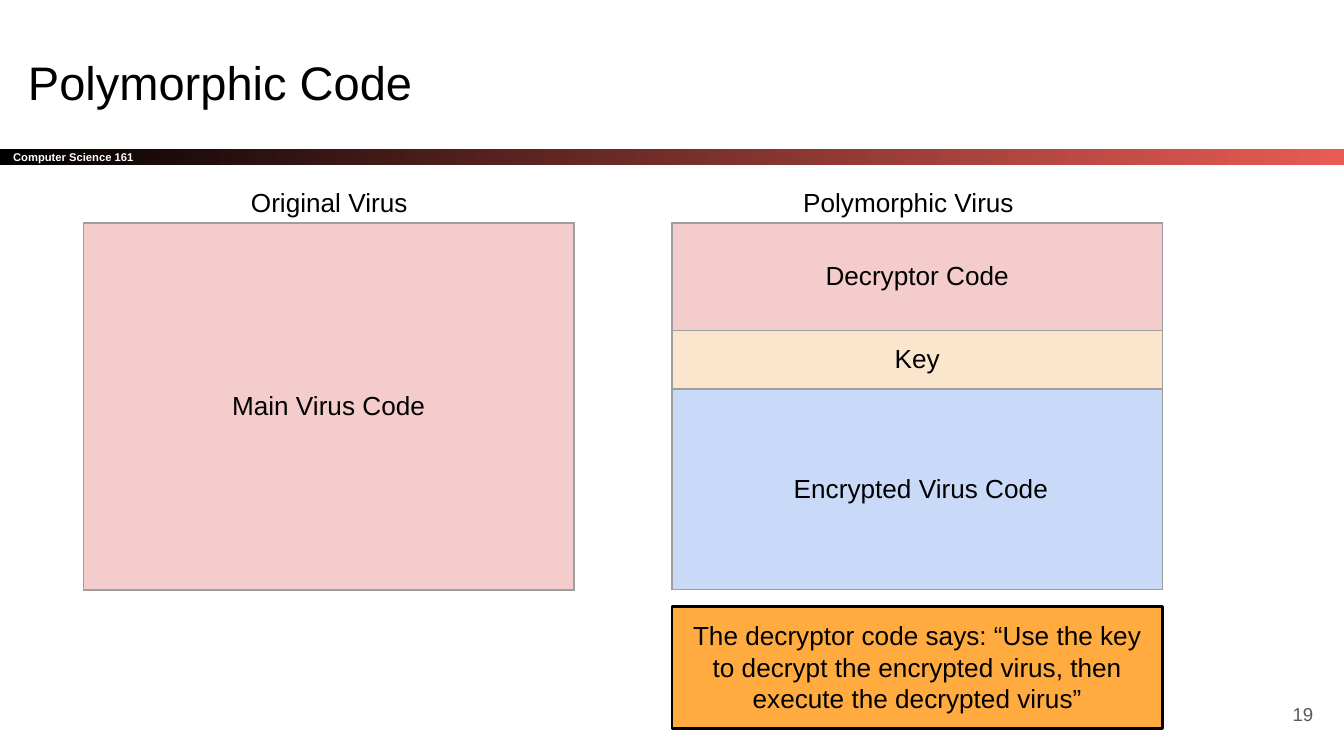
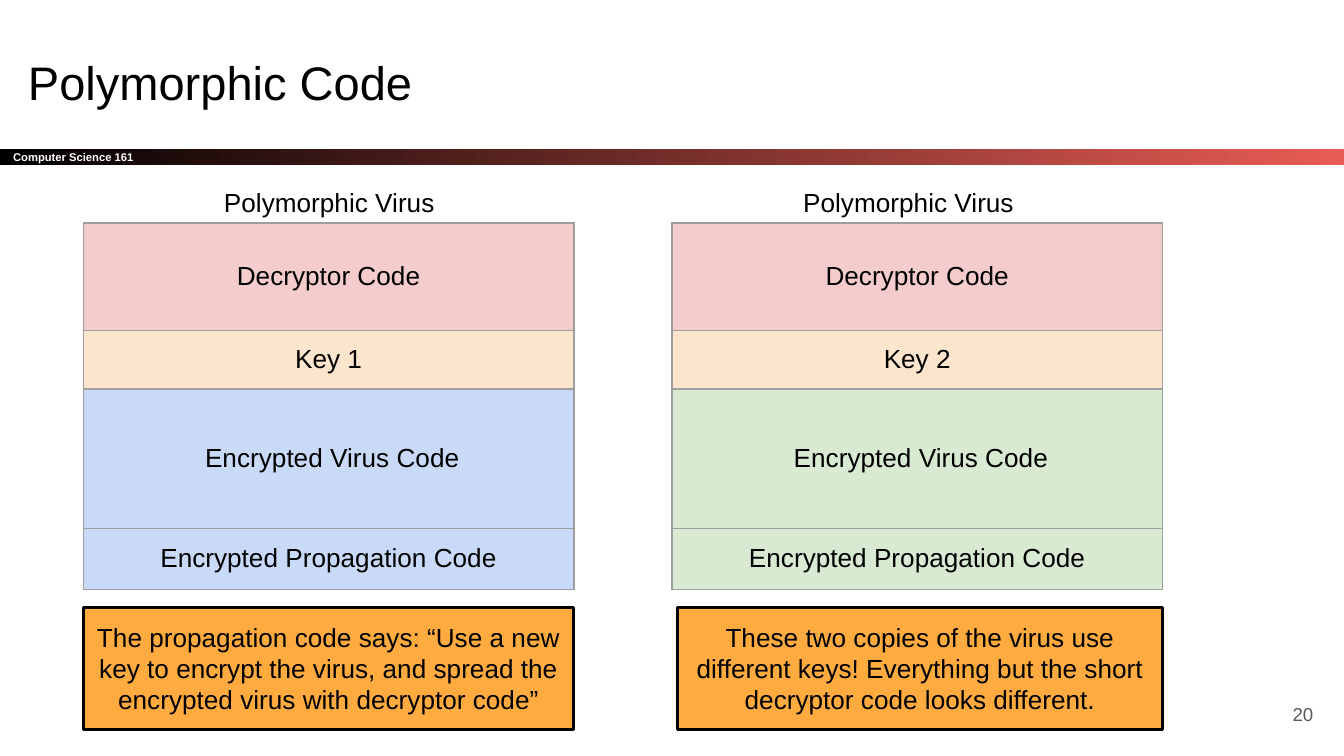
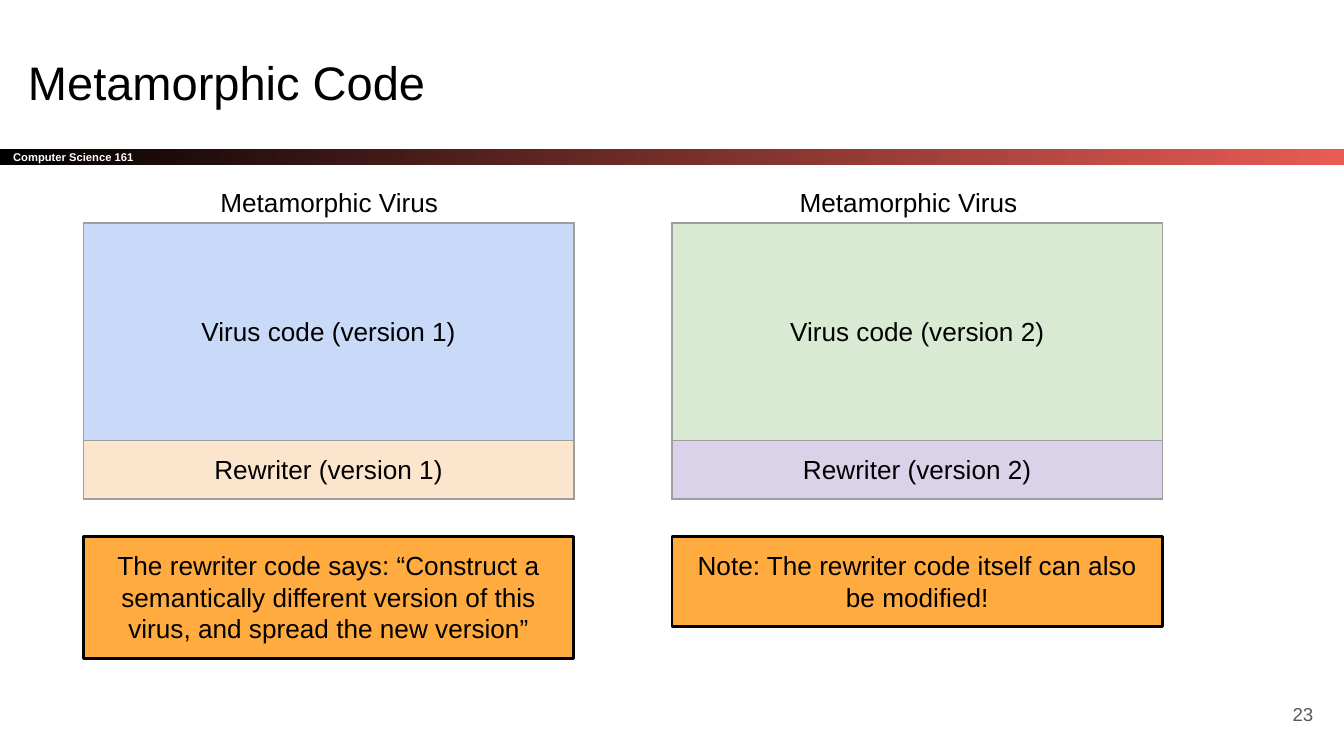
from dataclasses import dataclass

from lxml import etree
from pptx import Presentation
from pptx.dml.color import RGBColor
from pptx.enum.shapes import MSO_SHAPE
from pptx.enum.text import MSO_ANCHOR, MSO_AUTO_SIZE, PP_ALIGN
from pptx.oxml.ns import qn
from pptx.util import Inches, Pt

RECT = MSO_SHAPE.RECTANGLE
TOP, MIDDLE = MSO_ANCHOR.TOP, MSO_ANCHOR.MIDDLE
LEFT, CENTER, RIGHT = PP_ALIGN.LEFT, PP_ALIGN.CENTER, PP_ALIGN.RIGHT
GROW = MSO_AUTO_SIZE.SHAPE_TO_FIT_TEXT

# Colours
BLACK = RGBColor(0x00, 0x00, 0x00)
WHITE = RGBColor(0xFF, 0xFF, 0xFF)
CORAL = RGBColor(0xE8, 0x5C, 0x54)
GRAY = RGBColor(0x59, 0x59, 0x59)
BORDER = RGBColor(0x9E, 0x9E, 0x9E)
ORANGE = RGBColor(0xFF, 0xAB, 0x40)
PINK = RGBColor(0xF4, 0xCC, 0xCC)
CREAM = RGBColor(0xFC, 0xE5, 0xCD)
BLUE = RGBColor(0xC9, 0xDA, 0xF8)
GREEN = RGBColor(0xD9, 0xEA, 0xD3)
PURPLE = RGBColor(0xD9, 0xD2, 0xE9)

# Text styles
FONT = "Arial"
TITLE = {"size": Pt(25.2), "color": BLACK}
BODY = {"size": Pt(14), "color": BLACK}
BAND = {"size": Pt(6), "color": WHITE, "bold": True}
NUMBER = {"size": Pt(10), "color": GRAY}

# Column layout, in inches
TABLE_X = (0.62, 5)
HEADING_X = (0.69, 5)
TABLE_Y, COL_W = 1.66, 3.65
HEADING_Y, HEADING_W, HEADING_H = 1.29, 3.52, 0.44
INSET = 0.1


@dataclass
class Block:
    text: str
    height: float
    fill: RGBColor


@dataclass
class Callout:
    text: str
    top: float
    height: float = 0.91
    indent: float = 0


@dataclass
class Column:
    heading: str
    blocks: list[Block]
    callout: Callout | None = None


@dataclass
class Page:
    title: str
    number: int
    columns: list[Column]


def write(tf, text: str, style: dict, align=LEFT, anchor=TOP, inset_y: float = INSET) -> None:
    """Fill a text frame with one styled paragraph."""
    frame = {"word_wrap": True, "vertical_anchor": anchor,
             "margin_left": Inches(INSET), "margin_right": Inches(INSET),
             "margin_top": Inches(inset_y), "margin_bottom": Inches(inset_y)}
    for name, value in frame.items():
        setattr(tf, name, value)
    write_paragraph(tf.paragraphs[0], text, style, align)


def write_paragraph(p, text: str, style: dict, align) -> None:
    p.alignment = align
    r = p.add_run()
    r.text = text
    r.font.name = FONT
    for name, value in style.items():
        if name == "color":
            r.font.color.rgb = value
        else:
            setattr(r.font, name, value)


def add_text(s, text: str, box: tuple, style: dict, align=LEFT, anchor=TOP) -> None:
    sp = s.shapes.add_textbox(*map(Inches, box))
    write(sp.text_frame, text, style, align, anchor)


def add_rect(s, box: tuple):
    sp = s.shapes.add_shape(RECT, *map(Inches, box))
    sp.shadow.inherit = False
    return sp


def add_band(s) -> None:
    sp = add_rect(s, (0, 1.11, 10, 0.12))
    sp.line.fill.background()
    sp.fill.gradient()
    sp.fill.gradient_angle = 0
    for stop, color, position in zip(sp.fill.gradient_stops, (BLACK, CORAL), (0, 1)):
        stop.color.rgb = color
        stop.position = position
    write(sp.text_frame, "Computer Science 161", BAND, LEFT, MIDDLE, 0)


def add_borders(cell) -> None:
    tc_pr = cell._tc.get_or_add_tcPr()
    for side in ("a:lnL", "a:lnR", "a:lnT", "a:lnB"):
        ln = etree.SubElement(tc_pr, qn(side), w=str(Pt(0.75)))
        fill = etree.SubElement(ln, qn("a:solidFill"))
        etree.SubElement(fill, qn("a:srgbClr"), val=str(BORDER))


def add_blocks(s, left: float, blocks: list[Block]) -> None:
    height = sum(block.height for block in blocks)
    table = s.shapes.add_table(len(blocks), 1, Inches(left), Inches(TABLE_Y),
                               Inches(COL_W), Inches(height)).table
    table.first_row = table.horz_banding = False
    for i, block in enumerate(blocks):
        table.rows[i].height = Inches(block.height)
        cell = table.cell(i, 0)
        add_borders(cell)
        cell.fill.solid()
        cell.fill.fore_color.rgb = block.fill
        write_paragraph(cell.text_frame.paragraphs[0], block.text, BODY, CENTER)
        cell.vertical_anchor = MIDDLE
        for side in ("left", "right", "top", "bottom"):
            setattr(cell, f"margin_{side}", Inches(INSET))


def add_callout(s, left: float, callout: Callout) -> None:
    sp = add_rect(s, (left + callout.indent, callout.top, COL_W - callout.indent, callout.height))
    sp.fill.solid()
    sp.fill.fore_color.rgb = ORANGE
    sp.line.color.rgb = BLACK
    sp.line.width = Pt(1.5)
    write(sp.text_frame, callout.text, BODY, CENTER)
    sp.text_frame.auto_size = GROW


def add_page(prs, page: Page) -> None:
    s = prs.slides.add_slide(prs.slide_layouts[6])
    add_band(s)
    add_text(s, page.title, (0.11, 0.3, 9.32, 0.63), TITLE)
    add_text(s, str(page.number), (9.27, 5.1, 0.6, 0.43), NUMBER, RIGHT, MIDDLE)
    for left, heading_left, column in zip(TABLE_X, HEADING_X, page.columns):
        add_blocks(s, left, column.blocks)
        add_text(s, column.heading, (heading_left, HEADING_Y, HEADING_W, HEADING_H), BODY, CENTER)
        if column.callout:
            add_callout(s, left, column.callout)


def polymorphic(key: str, fill: RGBColor, propagates: bool) -> list[Block]:
    blocks = [Block("Decryptor Code", 0.8, PINK), Block(key, 0.43, CREAM),
              Block(" Encrypted Virus Code", 1.04 if propagates else 1.49, fill)]
    if propagates:
        blocks.append(Block("Encrypted Propagation Code", 0.45, fill))
    return blocks


def metamorphic(version: int, code_fill: RGBColor, rewriter_fill: RGBColor) -> list[Block]:
    return [Block(f"Virus code (version {version})", 1.62, code_fill),
            Block(f"Rewriter (version {version})", 0.43, rewriter_fill)]


PAGES = [
    Page("Polymorphic Code", 19, [
        Column("Original Virus", [Block("Main Virus Code", 2.73, PINK)]),
        Column("Polymorphic Virus", polymorphic("Key", BLUE, False),
               Callout("The decryptor code says: “Use the key to decrypt the encrypted "
                       "virus, then execute the decrypted virus”", 4.51)),
    ]),
    Page("Polymorphic Code", 20, [
        Column("Polymorphic Virus", polymorphic("Key 1", BLUE, True),
               Callout("The propagation code says: “Use a new key to encrypt the virus, "
                       "and spread the encrypted virus with decryptor code”", 4.52)),
        Column("Polymorphic Virus", polymorphic("Key 2", GREEN, True),
               Callout("These two copies of the virus use different keys! Everything but "
                       "the short decryptor code looks different.", 4.52, indent=0.04)),
    ]),
    Page("Metamorphic Code", 23, [
        Column("Metamorphic Virus", metamorphic(1, BLUE, CREAM),
               Callout("The rewriter code says: “Construct a semantically different "
                       "version of this virus, and spread the new version”", 3.99)),
        Column("Metamorphic Virus", metamorphic(2, GREEN, PURPLE),
               Callout("Note: The rewriter code itself can also be modified!", 3.99, 0.67)),
    ]),
]

# Widescreen 16:9 deck
prs = Presentation()
prs.slide_width = Inches(10)
prs.slide_height = Inches(10 * 9 / 16)
for page in PAGES:
    add_page(prs, page)
prs.save("out.pptx")
